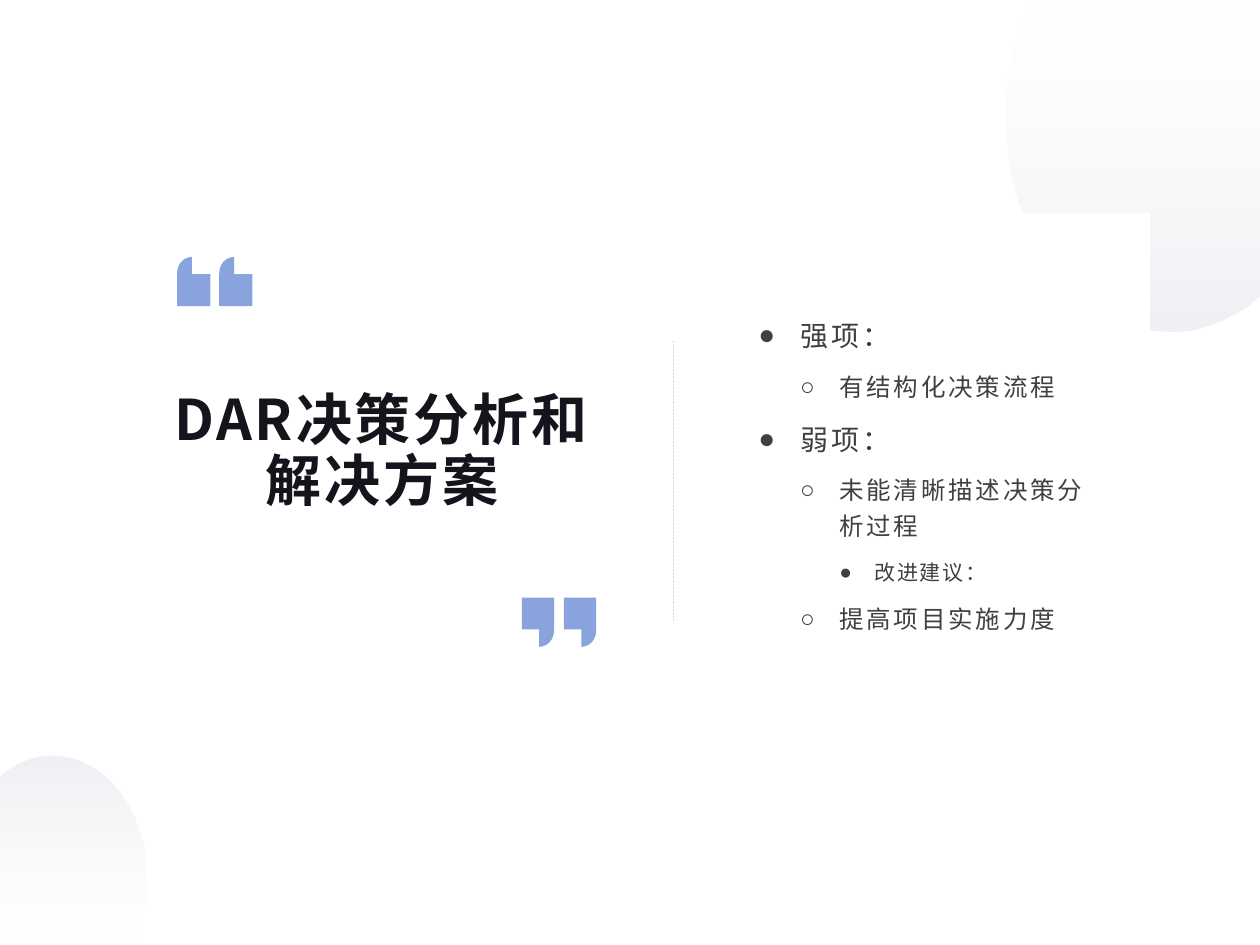
from dataclasses import dataclass

from lxml import etree
from pptx import Presentation
from pptx.dml.color import RGBColor
from pptx.enum.dml import MSO_LINE
from pptx.enum.shapes import MSO_CONNECTOR, MSO_SHAPE
from pptx.enum.text import MSO_ANCHOR, PP_ALIGN
from pptx.oxml.ns import qn
from pptx.util import Cm, Pt

COLORS = {"white": "FFFFFF", "mist": "BEBED2", "quote": "577CCE",
          "divider": "D9D9D9", "title": "14141D", "body": "404040"}
FONT = "Noto Sans CJK SC"
BULLET_FONT = "Arial"
MIDDLE = MSO_ANCHOR.MIDDLE
LEFT, CENTER = PP_ALIGN.LEFT, PP_ALIGN.CENTER

# An outline is a list of segments: one point for a line, three for a curve.
CORNER_TOP = [[(20.8, 0)], [(25.4, 0)], [(25.4, 5.94)], [(25.15, 6.15)],
              [(24.66, 6.48), (24.13, 6.68), (23.57, 6.68)],
              [(21.74, 6.68), (20.27, 4.75), (20.27, 2.34)],
              [(20.27, 1.6), (20.42, 0.89), (20.68, 0.28)]]
CORNER_BOTTOM = [[(2.64, 19.05)], [(0, 19.05)], [(0, 15.65)], [(0.15, 15.52)],
                 [(0.41, 15.34), (0.74, 15.23), (1.04, 15.23)],
                 [(2.11, 15.23), (2.95, 16.33), (2.95, 17.7)],
                 [(2.95, 18.06), (2.87, 18.42), (2.72, 18.9)]]
QUOTE_STEP = 0.85


@dataclass
class Level:
    bullet: str
    size: float
    spacing: float
    indent: float
    hanging: float


@dataclass
class Point:
    text: str
    level: int


LEVELS = [Level("●", 16, 1.8, 0.84, 0.84),
          Level("○", 14, 1.6, 1.63, 0.79),
          Level("●", 12, 1, 2.34, 0.71)]
POINTS = [Point("强项：", 0),
          Point("有结构化决策流程", 1),
          Point("弱项：", 0),
          Point("未能清晰描述决策分析过程", 1),
          Point("改进建议：", 2),
          Point("提高项目实施力度", 1)]


def rgb(name: str) -> RGBColor:
    return RGBColor.from_string(COLORS[name])


def quote_outline(width: float) -> list:
    return [[(0.3, 0)], [(0.3, 0.35)], [(width, 0.35)], [(width, 0.99)],
            [(0, 0.99)], [(0, 0.35)], [(0, 0.05), (0.23, 0), (0.3, 0)]]


def half_turn(outline: list) -> list:
    """Turn an outline by 180 degrees within its bounding box."""
    xs, ys = zip(*(segment[-1] for segment in outline))
    return [[(min(xs) + max(xs) - x, min(ys) + max(ys) - y) for x, y in segment]
            for segment in outline]


def add_outline(slide, outline: list, left: float = 0, top: float = 0):
    segments = [[(Cm(left + x), Cm(top + y)) for x, y in segment] for segment in outline]
    corners = [segment[-1] for segment in segments]
    builder = slide.shapes.build_freeform(*corners[0])
    builder.add_line_segments(corners[1:], close=True)
    shape = builder.convert_to_shape()
    shape.shadow.inherit = False
    shape.line.fill.background()
    # Bend the lines that stand for curves
    lines = list(shape._element.iter(qn("a:lnTo")))
    for line, segment in zip(lines, segments[1:]):
        if len(segment) == 3:
            curve = etree.Element(qn("a:cubicBezTo"))
            for x, y in segment:
                etree.SubElement(curve, qn("a:pt"), x=str(x - shape.left),
                                 y=str(y - shape.top))
            line.getparent().replace(line, curve)
    return shape


def set_opacity(shape, *percents: int) -> None:
    fill_colors = shape.fill._xPr.iter(qn("a:srgbClr"))
    for color, percent in zip(fill_colors, percents):
        etree.SubElement(color, qn("a:alpha"), val=str(percent * 1000))


def add_corner(slide, outline: list, rotation: int = 0) -> None:
    shape = add_outline(slide, outline)
    shape.rotation = rotation
    shape.fill.gradient()
    shape.fill.gradient_angle = 270
    for stop, position, name in zip(shape.fill.gradient_stops, (0, 1), ("white", "mist")):
        stop.position = position
        stop.color.rgb = rgb(name)
    set_opacity(shape, 10, 24)


def add_quote_pair(slide, outline: list, left: float, top: float) -> None:
    for index in range(2):
        mark = add_outline(slide, outline, left + index * QUOTE_STEP, top)
        mark.fill.solid()
        mark.fill.fore_color.rgb = rgb("quote")
        set_opacity(mark, 70)


def add_text_frame(slide, left: float, top: float, width: float, height: float):
    frame = slide.shapes.add_textbox(Cm(left), Cm(top), Cm(width), Cm(height)).text_frame
    frame.word_wrap = True
    frame.vertical_anchor = MIDDLE
    frame.margin_left = frame.margin_right = Cm(0.13)
    frame.margin_top = frame.margin_bottom = Cm(0.05)
    return frame


def write(paragraph, text: str, *, size: float, color: str, spacing: float,
          line_spacing: float, bold: bool = False, align=LEFT, after: float = 0) -> None:
    paragraph.alignment = align
    paragraph.line_spacing = line_spacing
    paragraph.space_after = Pt(after)
    run = paragraph.add_run()
    run.text = text
    run.font.size = Pt(size)
    run.font.bold = bold
    run.font.color.rgb = rgb(color)
    run.font.name = FONT
    properties = run.font._element
    properties.set("spc", str(round(spacing * 100)))
    etree.SubElement(properties, qn("a:ea"), typeface=FONT)


def add_bullet(paragraph, level: Level) -> None:
    properties = paragraph._p.get_or_add_pPr()
    properties.set("marL", str(Cm(level.indent)))
    properties.set("indent", str(-Cm(level.hanging)))
    etree.SubElement(properties, qn("a:buFont"), typeface=BULLET_FONT)
    etree.SubElement(properties, qn("a:buChar"), char=level.bullet)


def main() -> None:
    deck = Presentation()
    deck.slide_width, deck.slide_height = Cm(25.4), Cm(19.05)
    slide = deck.slides.add_slide(deck.slide_layouts[6])

    # Corner circles and the white panel over them
    add_corner(slide, CORNER_TOP)
    add_corner(slide, half_turn(CORNER_BOTTOM), rotation=180)
    panel = slide.shapes.add_shape(MSO_SHAPE.RECTANGLE, Cm(2.23), Cm(4.29),
                                   Cm(20.95), Cm(10.48))
    panel.shadow.inherit = False
    panel.fill.solid()
    panel.fill.fore_color.rgb = rgb("white")
    panel.line.fill.background()

    # Divider
    divider = slide.shapes.add_connector(MSO_CONNECTOR.STRAIGHT, Cm(13.57), Cm(6.87),
                                         Cm(13.57), Cm(12.5))
    divider.line.color.rgb = rgb("divider")
    divider.line.width = Pt(0.1)
    divider.line.dash_style = MSO_LINE.DASH
    etree.SubElement(divider._element.spPr, qn("a:effectLst"))

    # Quotation marks
    add_quote_pair(slide, quote_outline(0.67), 3.57, 5.18)
    add_quote_pair(slide, half_turn(quote_outline(0.65)), 10.52, 12.05)

    # Strengths and weaknesses
    findings = add_text_frame(slide, 15.16, 5.91, 6.99, 7.24)
    for index, point in enumerate(POINTS):
        paragraph = findings.add_paragraph() if index else findings.paragraphs[0]
        level = LEVELS[point.level]
        paragraph.level = point.level
        write(paragraph, point.text, size=level.size, color="body",
              spacing=level.spacing, line_spacing=1.2, after=8)
        add_bullet(paragraph, level)

    # Title
    title = add_text_frame(slide, 3.26, 7.71, 8.89, 2.84)
    write(title.paragraphs[0], "DAR决策分析和解决方案", size=32, color="title",
          spacing=1.6, line_spacing=0.9, bold=True, align=CENTER)

    deck.save("out.pptx")


if __name__ == "__main__":
    main()
